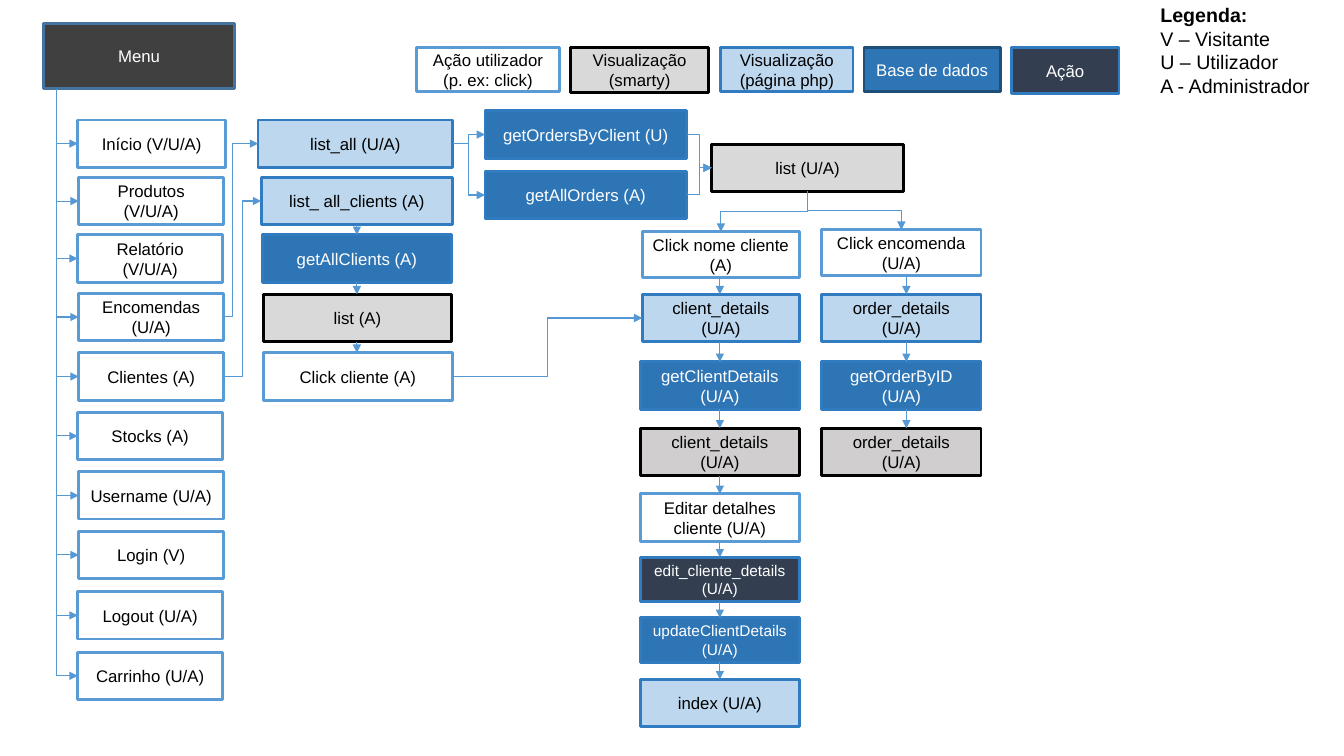
from itertools import pairwise

from lxml.etree import SubElement
from pptx import Presentation
from pptx.dml.color import RGBColor
from pptx.enum.shapes import MSO_CONNECTOR, MSO_SHAPE
from pptx.enum.text import MSO_ANCHOR, PP_ALIGN
from pptx.oxml.ns import qn
from pptx.util import Inches, Pt

# Content: each style gives fill, line and text colour
COLORS = {
    "white": "FFFFFF", "black": "000000", "charcoal": "404040", "steel": "43739E",
    "sky": "5B9BD5", "pale": "BDD7EE", "blue": "317CC1", "deep": "2E75B6",
    "navy": "1F4E79", "slate": "333F50", "silver": "D9D9D9", "grey": "D0CECE",
    "arrow": "5698D3",
}
STYLES = {
    "menu": ("charcoal", "steel", "white"),
    "click": ("white", "sky", "black"),
    "page": ("pale", "blue", "black"),
    "view": ("silver", "black", "black"),
    "detail view": ("grey", "black", "black"),
    "database": ("deep", "blue", "white"),
    "database key": ("deep", "navy", "white"),
    "action": ("slate", "blue", "white"),
}
FONT = "Arial"

# Boxes: text, style, left, top, width, height
MENU = ("Menu", "menu", 0.43, 0.23, 1.9, 0.65)
KEY = [
    ("Ação utilizador (p. ex: click)", "click", 4.13, 0.47, 1.42, 0.44),
    ("Visualização (smarty)", "view", 5.66, 0.47, 1.37, 0.45),
    ("Visualização (página php)", "page", 7.15, 0.47, 1.31, 0.44),
    ("Base de dados", "database key", 8.57, 0.47, 1.35, 0.44),
    ("Ação", "action", 10.03, 0.47, 1.07, 0.46),
]
MENU_ITEMS = [
    ("Início (V/U/A)", "click", 0.77, 1.19, 1.47, 0.47),
    ("Produtos (V/U/A)", "click", 0.78, 1.76, 1.44, 0.47),
    ("Relatório (V/U/A)", "click", 0.77, 2.33, 1.44, 0.47),
    ("Encomendas (U/A)", "click", 0.78, 2.91, 1.44, 0.47),
    ("Clientes (A)", "click", 0.78, 3.5, 1.44, 0.47),
    ("Stocks (A)", "click", 0.77, 4.09, 1.44, 0.47),
    ("Username (U/A)", "click", 0.78, 4.68, 1.44, 0.47),
    ("Login (V)", "click", 0.78, 5.27, 1.44, 0.47),
    ("Logout (U/A)", "click", 0.77, 5.87, 1.44, 0.47),
    ("Carrinho (U/A)", "click", 0.77, 6.47, 1.44, 0.47),
]
ORDER_PAGE = ("list_all (U/A)", "page", 2.56, 1.19, 1.93, 0.47)
ORDER_QUERIES = [
    ("getOrdersByClient (U)", "database", 4.81, 1.1, 2, 0.47),
    ("getAllOrders (A)", "database", 4.81, 1.7, 2, 0.47),
]
ORDER_LIST = ("list (U/A)", "view", 7.06, 1.43, 1.9, 0.47)
CLIENTS = [
    ("list_ all_clients (A)", "page", 2.59, 1.76, 1.9, 0.47),
    ("getAllClients (A)", "database", 2.6, 2.33, 1.88, 0.47),
    ("list (A)", "view", 2.61, 2.92, 1.87, 0.47),
    ("Click cliente (A)", "click", 2.61, 3.5, 1.88, 0.47),
]
CLIENT_DETAILS = [
    ("Click nome cliente (A)", "click", 6.37, 2.3, 1.56, 0.45),
    ("client_details (U/A)", "page", 6.37, 2.92, 1.56, 0.47),
    ("getClientDetails (U/A)", "database", 6.35, 3.59, 1.58, 0.47),
    ("client_details (U/A)", "detail view", 6.35, 4.25, 1.58, 0.47),
    ("Editar detalhes cliente (U/A)", "click", 6.35, 4.9, 1.58, 0.47),
    ("edit_cliente_details (U/A)", "action", 6.35, 5.53, 1.58, 0.44),
    ("updateClientDetails (U/A)", "database", 6.35, 6.13, 1.58, 0.44),
    ("index (U/A)", "page", 6.35, 6.74, 1.58, 0.47),
]
ORDER_DETAILS = [
    ("Click encomenda (U/A)", "click", 8.15, 2.28, 1.58, 0.45),
    ("order_details (U/A)", "page", 8.15, 2.92, 1.58, 0.47),
    ("getOrderByID (U/A)", "database", 8.15, 3.59, 1.58, 0.47),
    ("order_details (U/A)", "detail view", 8.15, 4.25, 1.58, 0.47),
]
SMALL_TEXT = {"edit_cliente_details (U/A)", "updateClientDetails (U/A)"}
LEGEND = ["Legenda:", "V – Visitante", "U – Utilizador", "A - Administrador"]

# Flows: column with its arrow position, and sideways links with their bend
COLUMNS = [(CLIENTS, 3.54), (CLIENT_DETAILS, 7.14), (ORDER_DETAILS, 8.99)]
SIDE_LINKS = [
    (MENU_ITEMS[3], ORDER_PAGE, 0.25),
    (MENU_ITEMS[4], CLIENTS[0], 0.5),
    (CLIENTS[-1], CLIENT_DETAILS[1], 0.5),
    *[(ORDER_PAGE, query, 0.5) for query in ORDER_QUERIES],
    *[(query, ORDER_LIST, 0.5) for query in ORDER_QUERIES],
]
TRUNK = 0.56

presentation = Presentation()
presentation.slide_width, presentation.slide_height = Inches(13.33), Inches(7.5)
slide = presentation.slides.add_slide(presentation.slide_layouts[6])


def color(name):
    return RGBColor.from_string(COLORS[name])


def set_font(font, size, color_name, bold=False):
    for name, value in {"name": FONT, "size": Pt(size), "bold": bold}.items():
        setattr(font, name, value)
    font.color.rgb = color(color_name)


def add_box(text, style, *place):
    fill, line, text_color = STYLES[style]
    shape = slide.shapes.add_shape(MSO_SHAPE.RECTANGLE, *map(Inches, place))
    shape.shadow.inherit = False
    shape.fill.solid()
    shape.fill.fore_color.rgb = color(fill)
    shape.line.color.rgb = color(line)
    shape.line.width = Pt(2)
    frame = shape.text_frame
    frame.word_wrap = True
    frame.vertical_anchor = MSO_ANCHOR.MIDDLE
    paragraph = frame.paragraphs[0]
    paragraph.text = text
    paragraph.alignment = PP_ALIGN.CENTER
    set_font(paragraph.runs[0].font, 11 if text in SMALL_TEXT else 12, text_color)


def add_arrow(start, end, kind=MSO_CONNECTOR.STRAIGHT):
    connector = slide.shapes.add_connector(kind, *map(Inches, (*start, *end)))
    connector.line.color.rgb = color("arrow")
    connector.line.width = Pt(0.75)
    properties = connector._element.spPr
    SubElement(properties.find(qn("a:ln")), qn("a:tailEnd"), type="triangle")
    SubElement(properties, qn("a:effectLst"))
    return properties


def add_side_arrow(start, end, bend):
    properties = add_arrow(start, end, MSO_CONNECTOR.ELBOW)
    guides = properties.find(qn("a:prstGeom")).get_or_add_avLst()
    SubElement(guides, qn("a:gd"), name="adj1", fmla=f"val {round(bend * 100000)}")


def add_down_arrow(start, end, preset):
    """Elbow that leaves downwards: a sideways elbow turned about its centre."""
    (x1, y1), (x2, y2) = start, end
    center_x, center_y = (x1 + x2) / 2, (y1 + y2) / 2
    half_width, half_height = (y2 - y1) / 2, abs(x2 - x1) / 2
    properties = add_arrow((center_x - half_width, center_y - half_height),
                           (center_x + half_width, center_y + half_height),
                           MSO_CONNECTOR.ELBOW)
    turn = {"rot": "16200000", "flipH": "1"} if x2 > x1 else {"rot": "5400000"}
    for name, value in turn.items():
        properties.find(qn("a:xfrm")).set(name, value)
    properties.find(qn("a:prstGeom")).set("prst", preset)


def left_of(box):
    return box[2], box[3] + box[5] / 2


def right_of(box):
    return box[2] + box[4], box[3] + box[5] / 2


def top_of(box):
    return box[2] + box[4] / 2, box[3]


# Boxes
for box in [MENU, *KEY, *MENU_ITEMS, ORDER_PAGE, *ORDER_QUERIES, ORDER_LIST,
            *CLIENTS, *CLIENT_DETAILS, *ORDER_DETAILS]:
    add_box(*box)

# Menu trunk, one corner arrow per item
trunk_top = MENU[3] + MENU[5]
for item in MENU_ITEMS:
    add_down_arrow((TRUNK, trunk_top), left_of(item), "bentConnector2")
    trunk_top = left_of(item)[1]

# Arrows down the columns
for column, x in COLUMNS:
    for upper, lower in pairwise(column):
        add_arrow((x, upper[3] + upper[5]), (x, lower[3]))

# Arrows between columns
for source, target, bend in SIDE_LINKS:
    add_side_arrow(right_of(source), left_of(target), bend)
list_bottom = (top_of(ORDER_LIST)[0], ORDER_LIST[3] + ORDER_LIST[5])
for column in (CLIENT_DETAILS, ORDER_DETAILS):
    add_down_arrow(list_bottom, top_of(column[0]), "bentConnector3")

# Legend
legend = slide.shapes.add_textbox(*map(Inches, (11.41, -0.02, 1.84, 1.04))).text_frame
legend.word_wrap = True
legend.text = "\n".join(LEGEND)
for index, paragraph in enumerate(legend.paragraphs):
    set_font(paragraph.runs[0].font, 14, "black", bold=index == 0)

presentation.save("out.pptx")
